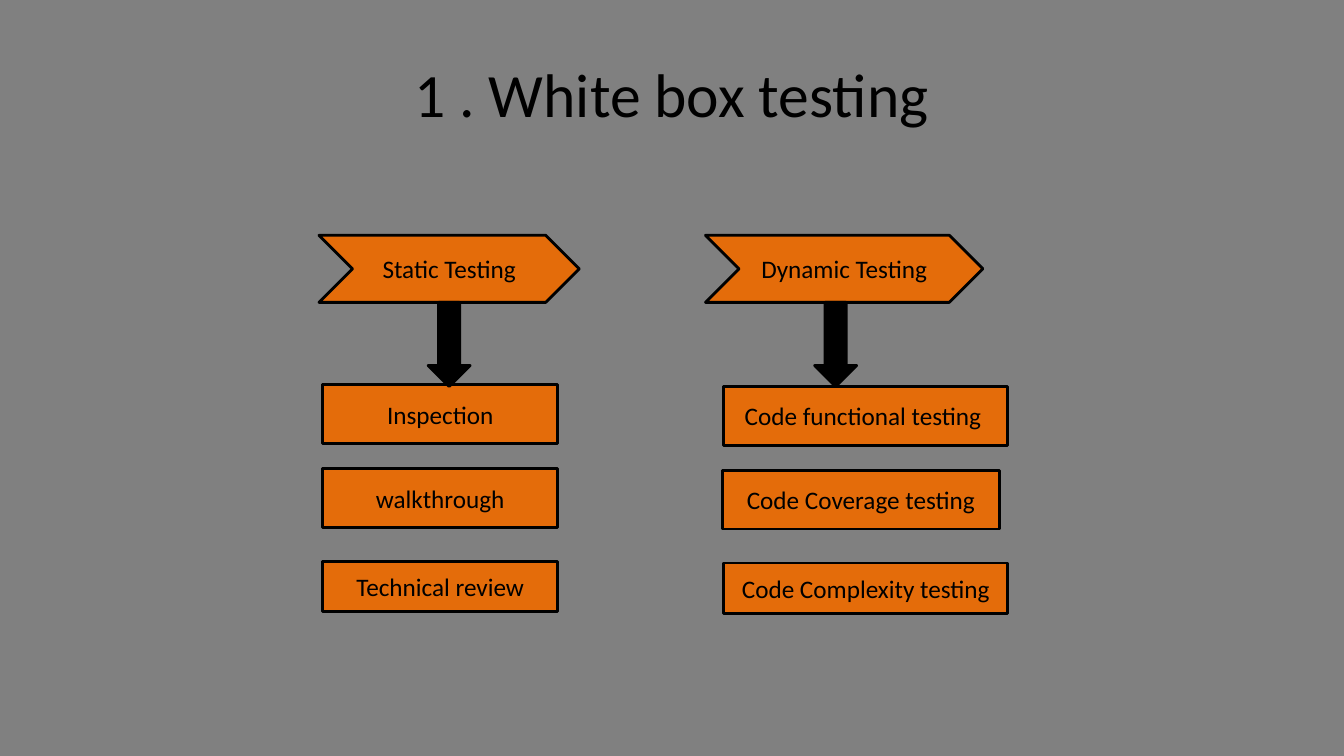
from dataclasses import dataclass

from pptx import Presentation
from pptx.dml.color import RGBColor
from pptx.enum.shapes import MSO_SHAPE
from pptx.enum.text import MSO_ANCHOR, PP_ALIGN
from pptx.util import Cm, Pt

RECT = MSO_SHAPE.RECTANGLE
CHEVRON = MSO_SHAPE.CHEVRON
ARROW = MSO_SHAPE.DOWN_ARROW
MIDDLE = MSO_ANCHOR.MIDDLE
CENTER = PP_ALIGN.CENTER


@dataclass(frozen=True)
class Theme:
    font: str = "Calibri"
    back: RGBColor = RGBColor(0x80, 0x80, 0x80)
    fill: RGBColor = RGBColor(0xE4, 0x6C, 0x0A)
    ink: RGBColor = RGBColor(0, 0, 0)
    title: int = 44
    label: int = 18
    line: int = 2


@dataclass(frozen=True)
class Box:
    left: float
    top: float
    width: float
    height: float

    def place(self) -> tuple[Cm, Cm, Cm, Cm]:
        return Cm(self.left), Cm(self.top), Cm(self.width), Cm(self.height)


@dataclass(frozen=True)
class Item:
    text: str
    left: float
    width: float


@dataclass(frozen=True)
class Branch:
    head: Item
    arrow: float
    drop: float
    items: tuple[Item, ...]


THEME = Theme()
HEAD_TOP, HEAD_HIGH = 5.93, 1.69
ARROW_WIDE, ARROW_HIGH = 1.06, 2.12
ROWS = ((9.7, 1.48), (11.81, 1.48), (14.15, 1.27))

BRANCHES = (
    Branch(Item("Static Testing", 8.04, 6.56), 10.79, 0, (
        Item("Inspection", 8.13, 5.93),
        Item("walkthrough", 8.13, 5.93),
        Item("Technical review", 8.13, 5.93),
    )),
    Branch(Item("Dynamic Testing", 17.78, 6.99), 20.53, 0.04, (
        Item("Code functional testing ", 18.24, 7.16),
        Item("Code Coverage testing", 18.2, 6.99),
        Item("Code Complexity testing", 18.24, 7.16),
    )),
)


def write(shape, text: str, size: int) -> None:
    frame = shape.text_frame
    frame.text = text
    frame.word_wrap = True
    frame.vertical_anchor = MIDDLE
    para = frame.paragraphs[0]
    para.alignment = CENTER
    para.font.name = THEME.font
    para.font.size = Pt(size)
    para.font.color.rgb = THEME.ink


def draw(slide, kind: MSO_SHAPE, box: Box, fill: RGBColor, text: str = "") -> None:
    shape = slide.shapes.add_shape(kind, *box.place())
    shape.shadow.inherit = False
    shape.fill.solid()
    shape.fill.fore_color.rgb = fill
    shape.line.color.rgb = THEME.ink
    shape.line.width = Pt(THEME.line)
    if text:
        write(shape, text, THEME.label)


def grow(slide, branch: Branch) -> None:
    head = branch.head
    box = Box(head.left, HEAD_TOP, head.width, HEAD_HIGH)
    draw(slide, CHEVRON, box, THEME.fill, head.text)
    for item, (top, high) in zip(branch.items, ROWS):
        box = Box(item.left, top + branch.drop, item.width, high)
        draw(slide, RECT, box, THEME.fill, item.text)
    stem = Box(branch.arrow, HEAD_TOP + HEAD_HIGH, ARROW_WIDE, ARROW_HIGH)
    draw(slide, ARROW, stem, THEME.ink)


deck = Presentation()
deck.slide_width, deck.slide_height = Cm(33.87), Cm(19.05)
slide = deck.slides.add_slide(deck.slide_layouts[5])
slide.background.fill.solid()
slide.background.fill.fore_color.rgb = THEME.back

title = slide.shapes.title
title.left, title.top, title.width, title.height = Box(1.69, 0.76, 30.48, 3.18).place()
write(title, "1 . White box testing", THEME.title)

for branch in BRANCHES:
    grow(slide, branch)

deck.save("out.pptx")
